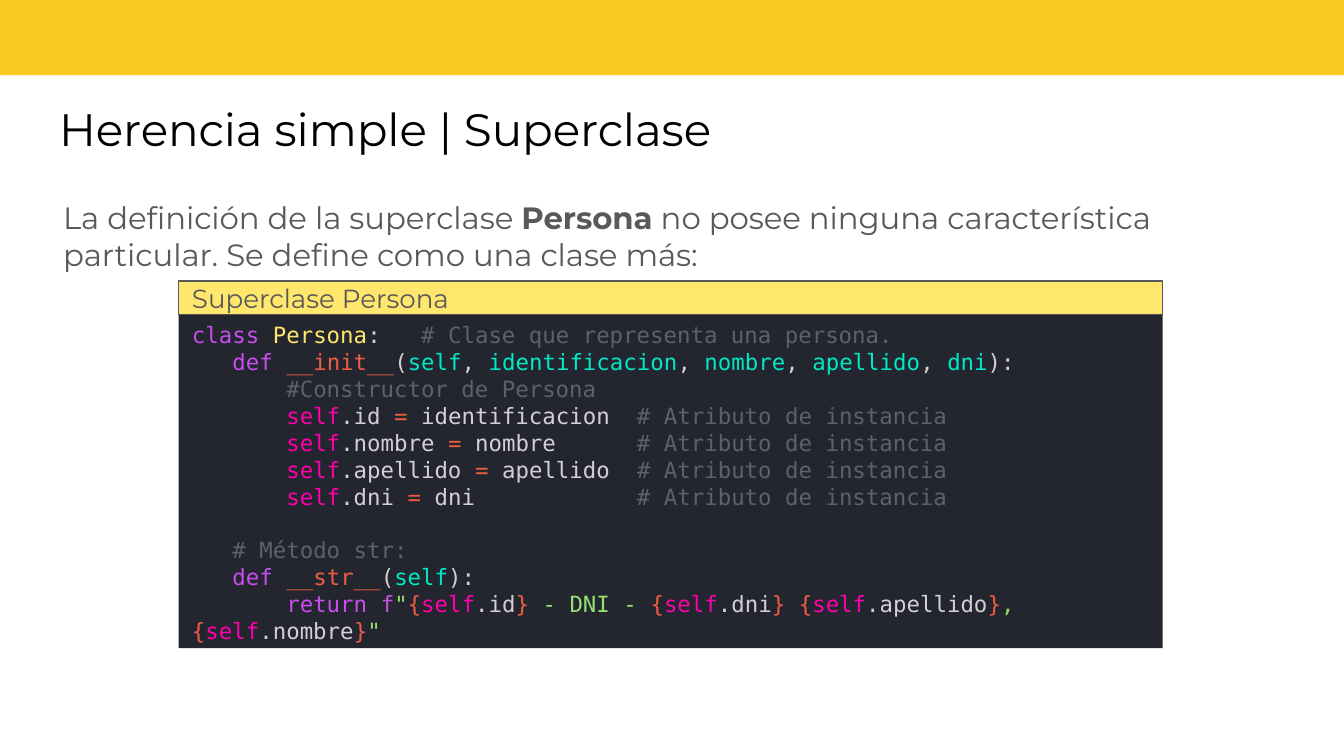
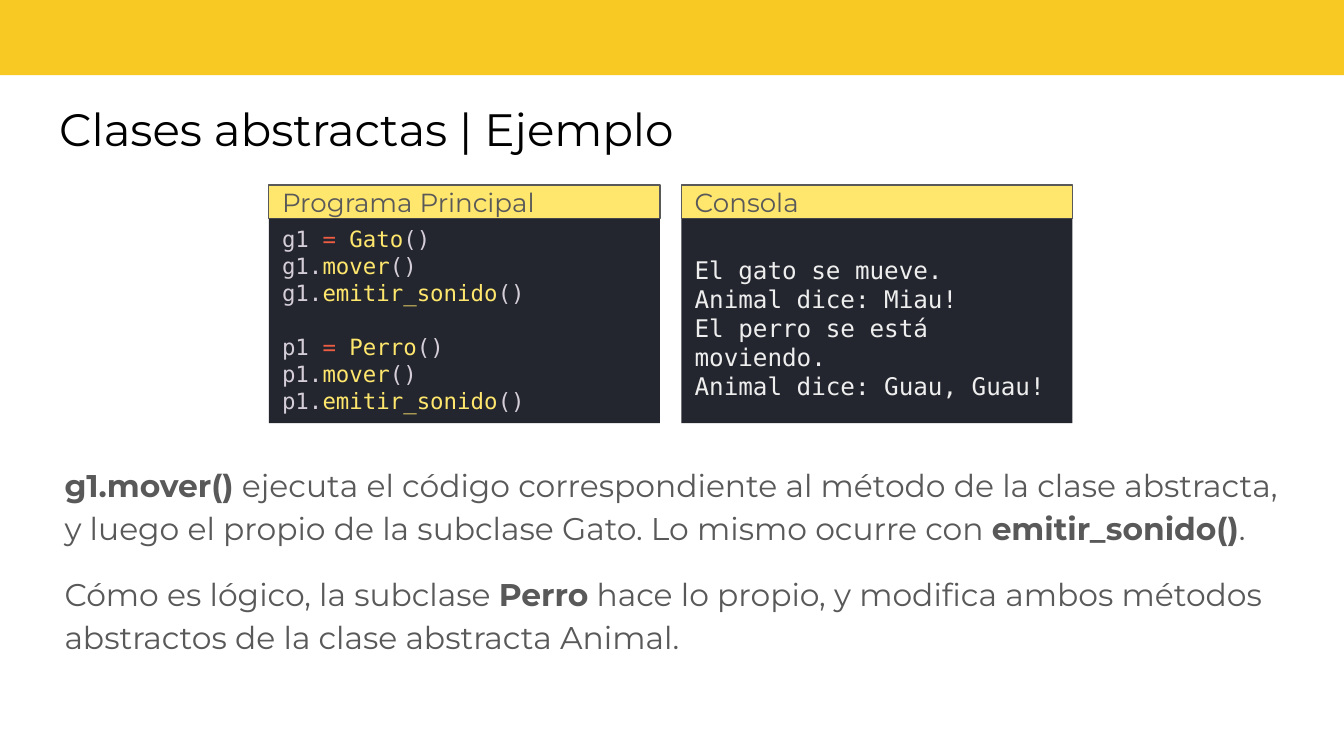
"""Builds two slides on Python inheritance: a superclass and an abstract class example."""
from dataclasses import dataclass
from typing import NamedTuple

from pptx import Presentation
from pptx import util as u
from pptx.dml.color import RGBColor
from pptx.enum import shapes, text

WIDTH = u.Inches(10)
HEIGHT = u.Emu(WIDTH * 9 // 16)
SANS, MONO = "Montserrat", "DejaVu Sans Mono"

BLACK = RGBColor(0x00, 0x00, 0x00)
WHITE = RGBColor(0xEE, 0xEE, 0xEE)
GRAY = RGBColor(0x59, 0x59, 0x59)
GOLD = RGBColor(0xF8, 0xC8, 0x23)
YELLOW = RGBColor(0xFF, 0xE6, 0x6D)
NIGHT = RGBColor(0x23, 0x26, 0x2E)
PLAIN = RGBColor(0xD5, 0xCE, 0xD9)
PURPLE = RGBColor(0xC7, 0x4D, 0xED)
RED = RGBColor(0xEE, 0x5D, 0x43)
CYAN = RGBColor(0x00, 0xE8, 0xC6)
PINK = RGBColor(0xFF, 0x00, 0xAA)
GREEN = RGBColor(0x96, 0xE0, 0x72)
COMMENT = RGBColor(0x5F, 0x61, 0x67)


class Box(NamedTuple):
    left: float
    top: float
    width: float
    height: float

    def lengths(self) -> tuple[int, int, int, int]:
        return (int(WIDTH * self.left / 100), int(HEIGHT * self.top / 100),
                int(WIDTH * self.width / 100), int(HEIGHT * self.height / 100))


class Run(NamedTuple):
    text: str
    color: RGBColor | None = None
    bold: bool | None = None


@dataclass(frozen=True)
class Line:
    runs: list[Run]
    gap: float = 0


@dataclass(frozen=True)
class Style:
    font: str
    size: float
    color: RGBColor
    spacing: float = 1.0


@dataclass(frozen=True)
class Panel:
    title: str
    box: Box
    lines: list[Line]
    style: Style
    top_inset: float = 0.05


BAND = Box(-0.1, -0.9, 100.3, 10.85)
TITLE_BOX = Box(3.4, 11.56, 93, 11.2)
HEADER_HEIGHT = 4.44
CODE_GAP = 14.4
TITLE = Style(SANS, 24.3, BLACK)
HEADER = Style(SANS, 14, GRAY)
CODE = Style(MONO, 12, PLAIN)
CONSOLE = Style(MONO, 13, WHITE)


def write(shape, lines: list[Line], style: Style, insets: tuple[float, float],
          anchor=text.MSO_ANCHOR.TOP) -> None:
    """Fill a shape with left-aligned lines in one style."""
    frame = shape.text_frame
    frame.word_wrap = True
    frame.auto_size = text.MSO_AUTO_SIZE.NONE
    frame.vertical_anchor = anchor
    frame.margin_left = frame.margin_right = u.Inches(insets[0])
    frame.margin_top = frame.margin_bottom = u.Inches(insets[1])
    for index, line in enumerate(lines):
        paragraph = frame.add_paragraph() if index else frame.paragraphs[0]
        paragraph.alignment = text.PP_ALIGN.LEFT
        paragraph.line_spacing = style.spacing
        paragraph.space_before = u.Pt(line.gap)
        paragraph.font.name = style.font
        paragraph.font.size = u.Pt(style.size)
        paragraph.font.color.rgb = style.color
        for part in line.runs:
            run = paragraph.add_run()
            run.text = part.text
            if part.bold is not None:
                run.font.bold = part.bold
            if part.color is not None:
                run.font.color.rgb = part.color


def add_rectangle(slide, box: Box, fill: RGBColor, outline: RGBColor | None = None):
    """Add a flat rectangle with an optional thin outline."""
    shape = slide.shapes.add_shape(shapes.MSO_SHAPE.RECTANGLE, *box.lengths())
    shape.shadow.inherit = False
    shape.fill.solid()
    shape.fill.fore_color.rgb = fill
    if outline is None:
        shape.line.fill.background()
    else:
        shape.line.color.rgb = outline
        shape.line.width = u.Pt(0.75)
    return shape


def add_panel(slide, panel: Panel) -> None:
    """Add a dark text panel under its yellow header."""
    left, top, width, height = panel.box
    header = add_rectangle(slide, Box(left, top, width, HEADER_HEIGHT), YELLOW, GRAY)
    write(header, [Line([Run(panel.title)])], HEADER, (0.1, 0.05), text.MSO_ANCHOR.MIDDLE)
    body = add_rectangle(
        slide, Box(left, top + HEADER_HEIGHT, width, height - HEADER_HEIGHT), NIGHT)
    write(body, panel.lines, panel.style, (0.1, 0.05))
    body.text_frame.margin_top = u.Inches(panel.top_inset)


def add_prose(slide, box: Box, lines: list[Line], style: Style) -> None:
    """Add running text in a text box."""
    write(slide.shapes.add_textbox(*box.lengths()), lines, style, (0, 0.1))


def add_titled_slide(presentation, layout, title: str):
    """Add a slide with its title."""
    slide = presentation.slides.add_slide(layout)
    write(slide.shapes.title, [Line([Run(title)])], TITLE, (0.1, 0.1))
    return slide


def prepare_layout(layout) -> None:
    """Keep only the title placeholder of the layout and place it."""
    for placeholder in list(layout.placeholders):
        if placeholder.placeholder_format.idx:
            layout.shapes.element.remove(placeholder.element)
        else:
            (placeholder.left, placeholder.top,
             placeholder.width, placeholder.height) = TITLE_BOX.lengths()


def method(name: str, parameters: list[str]) -> Line:
    """Return the coloured header of a method."""
    runs = [Run("   "), Run("def", PURPLE), Run(" "), Run(name, RED), Run("(")]
    for index, parameter in enumerate(parameters):
        runs += [Run(", ")] * bool(index) + [Run(parameter, CYAN)]
    return Line(runs + [Run("):")])


def attribute(name: str, value: str) -> Line:
    """Return an attribute assignment with an aligned comment."""
    target = f".{name} "
    return Line([Run("       "), Run("self", PINK), Run(target), Run("=", RED),
                 Run(f" {value}".ljust(21 - len(target))),
                 Run("# Atributo de instancia", COMMENT)])


def field(name: str) -> list[Run]:
    """Return a replacement field of a formatted string."""
    return [Run("{", RED), Run("self", PINK), Run(f".{name}", PLAIN), Run("}", RED)]


def animal_calls(variable: str, animal: str, gap: float = 0) -> list[Line]:
    """Return the creation of an animal and its two calls."""
    create = Line([Run(f"{variable} "), Run("=", RED), Run(" "),
                   Run(animal, YELLOW), Run("()")], gap)
    return [create] + [Line([Run(f"{variable}."), Run(call, YELLOW), Run("()")])
                       for call in ("mover", "emitir_sonido")]


def superclass_code() -> list[Line]:
    """Return the code of the superclass."""
    return [
        Line([Run("class", PURPLE), Run(" "), Run("Persona", YELLOW), Run(":   "),
              Run("# Clase que representa una persona.", COMMENT)]),
        method("__init__", ["self", "identificacion", "nombre", "apellido", "dni"]),
        Line([Run("       "), Run("#Constructor de Persona", COMMENT)]),
        attribute("id", "identificacion"),
        *[attribute(name, name) for name in ("nombre", "apellido", "dni")],
        Line([Run("   "), Run("# Método str:", COMMENT)], CODE_GAP),
        method("__str__", ["self"]),
        Line([Run("       "), Run("return", PURPLE), Run(" "), Run("f", PURPLE),
              Run('"', GREEN), *field("id"), Run(" - DNI - ", GREEN), *field("dni"),
              Run(" ", GREEN), *field("apellido"), Run(", ", GREEN),
              *field("nombre"), Run('"', GREEN)]),
    ]


def build_superclass(slide) -> None:
    """Fill the superclass slide."""
    add_prose(slide, Box(4.7, 24.53, 90.5, 20.09), [Line([
        Run("La definición de la superclase "), Run("Persona", bold=True),
        Run(" no posee ninguna característica particular. Se define como una clase más:"),
    ])], Style(SANS, 16.5, GRAY))
    add_panel(slide, Panel("Superclase Persona", Box(13.3, 37.2, 73.2, 48.53),
                           superclass_code(), CODE))


def build_example(slide) -> None:
    """Fill the abstract class example slide."""
    output = ["El gato se mueve.", "Animal dice: Miau!",
              "El perro se está moviendo.", "Animal dice: Guau, Guau!"]
    contents = [
        ("Programa Principal",
         animal_calls("g1", "Gato") + animal_calls("p1", "Perro", CODE_GAP), CODE, 0.05),
        ("Consola", [Line([Run(line)]) for line in output], CONSOLE, 0.27),
    ]
    for column, (title, lines, style, inset) in enumerate(contents):
        box = Box(20 + 30.7 * column, 24.5, 29.1, 31.47)
        add_panel(slide, Panel(title, box, lines, style, inset))
    add_prose(slide, Box(4.8, 59.1, 90.5, 30.4), [
        Line([Run("g1.mover()", bold=True),
              Run(" ejecuta el código correspondiente al método de la clase abstracta, "
                  "y luego el propio de la subclase Gato. Lo mismo ocurre con "),
              Run("emitir_sonido()", bold=True), Run(".")]),
        Line([Run("Cómo es lógico, la subclase "), Run("Perro", bold=True),
              Run(" hace lo propio, y modifica ambos métodos abstractos "
                  "de la clase abstracta Animal.")], 12),
    ], Style(SANS, 16.8, GRAY, 1.15))


def main() -> None:
    """Build and save the presentation."""
    presentation = Presentation()
    presentation.slide_width, presentation.slide_height = WIDTH, HEIGHT
    layout = presentation.slide_layouts.get_by_name("Title Only")
    prepare_layout(layout)
    superclass = add_titled_slide(presentation, layout, "Herencia simple | Superclase")
    band = add_rectangle(superclass, BAND, GOLD)
    layout.shapes.element.insert(2, band.element)
    build_superclass(superclass)
    build_example(add_titled_slide(presentation, layout, "Clases abstractas | Ejemplo"))
    presentation.save("out.pptx")


if __name__ == "__main__":
    main()
